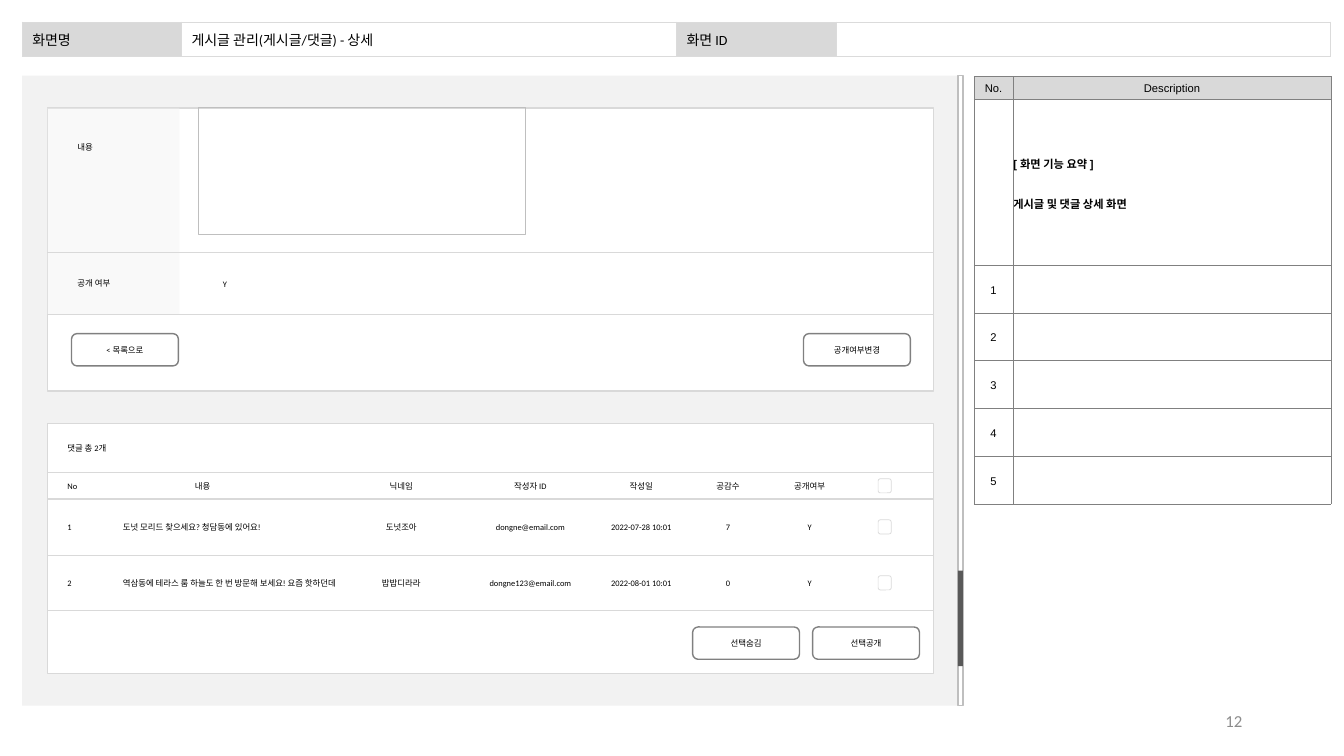
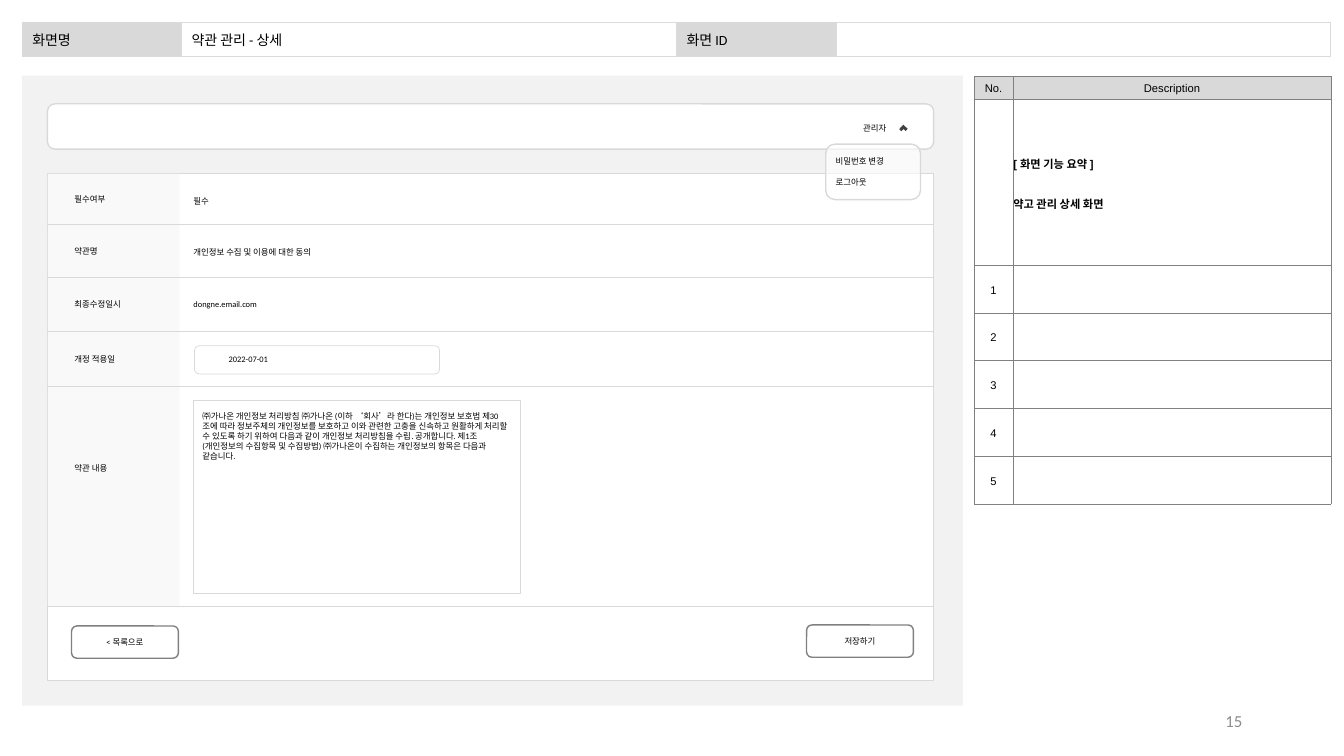
from collections import namedtuple
from dataclasses import dataclass

from lxml import etree
from pptx import Presentation
from pptx.dml.color import RGBColor
from pptx.enum.shapes import MSO_CONNECTOR, MSO_SHAPE
from pptx.enum.text import MSO_ANCHOR, PP_ALIGN
from pptx.oxml.ns import qn
from pptx.util import Inches, Pt

RECT, ROUND, CORNER = MSO_SHAPE.RECTANGLE, MSO_SHAPE.ROUNDED_RECTANGLE, MSO_SHAPE.CORNER
STRAIGHT = MSO_CONNECTOR.STRAIGHT
LEFT, CENTER, RIGHT = PP_ALIGN.LEFT, PP_ALIGN.CENTER, PP_ALIGN.RIGHT
TOP, MIDDLE = MSO_ANCHOR.TOP, MSO_ANCHOR.MIDDLE

Box = namedtuple("Box", "x y w h")


@dataclass(frozen=True)
class Theme:
    font: str = "Calibri"
    table_font: str = "Arial"
    ink: str = "000000"
    white: str = "FFFFFF"
    canvas: str = "F2F2F2"
    head: str = "D9D9D9"
    head_border: str = "DBDBDB"
    rule: str = "D9D9D9"
    frame: str = "BFBFBF"
    strong: str = "808080"
    thumb: str = "595959"
    chevron: str = "404040"
    number: str = "8C8C8C"
    tiny: int = 6
    small: int = 8
    heading: int = 10
    page: int = 12


T = Theme()
HEADER = Box(0.22, 0.22, 12.98, 0.34)
CANVAS = Box(0.22, 0.75, 9.33, 6.25)
NOTES = Box(9.66, 0.76, 3.54, 4.24)
PAGE = Box(9.42, 6.95, 3, 0.4)
PANEL_X, PANEL_W = 0.47, 8.79
BAND_W = 1.31
LABEL_H = 0.2
BUTTON_W, BUTTON_H = 1.06, 0.32


def rgb(value):
    return RGBColor.from_string(value)


def emu(box):
    return [Inches(v) for v in box]


def write(tf, *texts, size=T.tiny, font=T.font, color=T.ink, align=LEFT,
          bold=False, spacing=None, gap=0):
    for i, text in enumerate(texts):
        p = tf.add_paragraph() if i else tf.paragraphs[0]
        p.alignment = align
        p.line_spacing = spacing
        if i:
            p.space_before = Pt(gap)
        r = p.add_run()
        r.text = text
        r.font.size, r.font.name, r.font.bold = Pt(size), font, bold
        r.font.color.rgb = rgb(color)


def text_box(s, box, text, anchor=MIDDLE, **fmt):
    tf = s.shapes.add_textbox(*emu(box)).text_frame
    tf.word_wrap = True
    tf.vertical_anchor = anchor
    write(tf, text, **fmt)


def label(s, text, x, center_y, w, **fmt):
    text_box(s, Box(x, center_y - LABEL_H / 2, w, LABEL_H), text, **fmt)


def shape(s, kind, box, fill=None, line=None, width=1, alpha=None):
    sp = s.shapes.add_shape(kind, *emu(box))
    sp.shadow.inherit = False
    if fill:
        sp.fill.solid()
        sp.fill.fore_color.rgb = rgb(fill)
    else:
        sp.fill.background()
    if alpha:
        clr = sp._element.spPr.find(qn("a:solidFill"))[0]
        etree.SubElement(clr, qn("a:alpha")).set("val", str(alpha * 1000))
    if line:
        sp.line.color.rgb = rgb(line)
        sp.line.width = Pt(width)
    else:
        sp.line.fill.background()
    return sp


def divider(s, x, y, w, width=0.5):
    cx = s.shapes.add_connector(STRAIGHT, *emu((x, y, x + w, y)))
    cx.line.color.rgb = rgb(T.rule)
    cx.line.width = Pt(width)
    etree.SubElement(cx._element.spPr, qn("a:effectLst"))


def button(s, text, x, y):
    sp = shape(s, ROUND, Box(x, y, BUTTON_W, BUTTON_H), T.white, T.strong)
    sp.text_frame.vertical_anchor = MIDDLE
    write(sp.text_frame, text, align=CENTER)


def format_cell(cell, border, width, fill=None):
    cell.margin_top = cell.margin_bottom = 0
    cell.vertical_anchor = MIDDLE
    tcPr = cell._tc.get_or_add_tcPr()
    for side in ("lnL", "lnR", "lnT", "lnB"):
        ln = etree.SubElement(tcPr, qn(f"a:{side}"), w=str(Pt(width)))
        solid = etree.SubElement(ln, qn("a:solidFill"))
        etree.SubElement(solid, qn("a:srgbClr"), val=border)
    if fill:
        cell.fill.solid()
        cell.fill.fore_color.rgb = rgb(fill)
    else:
        cell.fill.background()


def table(s, box, widths, heights):
    tbl = s.shapes.add_table(len(heights), len(widths), *emu(box)).table
    tbl.first_row = tbl.horz_banding = False
    for col, w in zip(tbl.columns, widths):
        col.width = Inches(w)
    for row, h in zip(tbl.rows, heights):
        row.height = Inches(h)
    return tbl


def header(s, box, title):
    tbl = table(s, box, (1.58, 4.91, 1.59, 4.9), (box.h,))
    for i, text in enumerate(("화면명", title, "화면 ID", "")):
        cell = tbl.cell(0, i)
        format_cell(cell, T.head_border, 0.75, None if i % 2 else T.head)
        if text:
            write(cell.text_frame, text, size=T.heading)


def notes_table(s, box, summary, count=5):
    top, intro = 0.22, 1.65
    step = (box.h - top - intro) / count
    tbl = table(s, box, (0.39, box.w - 0.39), [top, intro] + [step] * count)
    rows = [("No.", "Description"), ("", "")]
    rows += [(str(n), "") for n in range(1, count + 1)]
    fmt = dict(size=T.small, font=T.table_font, spacing=1.2)
    for i, row in enumerate(rows):
        for j, text in enumerate(row):
            cell = tbl.cell(i, j)
            cell.margin_left = cell.margin_right = 0
            format_cell(cell, T.strong, 0.25, T.white if i else T.head)
            if text:
                write(cell.text_frame, text, align=CENTER, **fmt)
    write(tbl.cell(1, 1).text_frame, "[ 화면 기능 요약 ]", summary,
          bold=True, gap=14, **fmt)


def base(prs, title, summary, number):
    s = prs.slides.add_slide(prs.slide_layouts[6])
    shape(s, RECT, CANVAS, T.canvas)
    text_box(s, PAGE, number, size=T.page, color=T.number, align=RIGHT)
    header(s, HEADER, title)
    notes_table(s, NOTES, summary)
    return s


def form(s, box, indent, rows):
    shape(s, RECT, box, T.white, T.rule)
    shape(s, RECT, Box(box.x, box.y, BAND_W, rows[-1][1]), T.canvas, alpha=42)
    top = 0
    for name, bottom, center in rows:
        divider(s, box.x, box.y + bottom, box.w)
        label(s, name, box.x + indent, box.y + (center or (top + bottom) / 2), 0.95)
        top = bottom
    button(s, "< 목록으로", box.x + 0.24, box.y + top + 0.19)


def post_form(s, box):
    form(s, box, 0.2, (("내용", 1.43, 0.39), ("공개 여부", 2.05, None)))
    shape(s, RECT, Box(box.x + 1.5, box.y, 3.24, 1.26), line=T.frame, width=0.5)
    label(s, "Y", box.x + 1.48, box.y + 1.75, 0.56, align=CENTER)
    button(s, "공개여부변경", box.x + 7.5, box.y + 2.24)


def comment_list(s, box, comments):
    shape(s, RECT, box, T.white, T.rule)
    label(s, f"댓글 총 {len(comments)}개", box.x + 0.1, box.y + 0.25, 0.84)
    head_top, head_bottom, row_h = 0.49, 0.75, 0.555
    divider(s, box.x, box.y + head_top, box.w, 1)
    divider(s, box.x, box.y + head_bottom, box.w, 1)
    head = ("No", "내용", "닉네임", "작성자 ID", "작성일", "공감수", "공개여부")
    centers = (0.38, 1.54, 3.51, 4.79, 5.89, 6.75, 7.56)
    widths = (0.56, 0.9, 1.14, 1.14, 0.96, 0.96, 0.96)
    mids = [(head_top + head_bottom) / 2]
    for i in range(len(comments)):
        top = head_bottom + i * row_h
        mids.append(top + row_h / 2)
        divider(s, box.x, box.y + top + row_h, box.w)
    for mid, row in zip(mids, (head, *comments)):
        y = box.y + mid
        for col, (text, cx, w) in enumerate(zip(row, centers, widths)):
            if col == 1 and row is not head:
                label(s, text, box.x + 0.65, y, 2.78)
            else:
                label(s, text, box.x + cx - w / 2, y, w, align=CENTER if col else LEFT)
        shape(s, ROUND, Box(box.x + 8.24, y - 0.07, 0.13, 0.14), line=T.rule, width=0.5)
    for i, text in enumerate(("선택숨김", "선택공개")):
        button(s, text, box.x + 6.4 + 1.19 * i, box.y + 2.02)


def scrollbar(s, box):
    shape(s, RECT, box, T.white, T.frame)
    shape(s, RECT, Box(box.x, box.y + 4.91, box.w, 0.95), T.thumb)


def account_bar(s, box):
    shape(s, ROUND, box, T.white, T.rule)
    label(s, "관리자", box.x + 7.8, box.y + 0.24, 0.81, align=CENTER)
    shape(s, CORNER, Box(box.x + 8.46, box.y + 0.22, 0.06, 0.06), T.chevron).rotation = 132.5


def account_menu(s, box):
    shape(s, ROUND, box, T.white, T.rule, alpha=64)
    for i, text in enumerate(("비밀번호 변경", "로그아웃")):
        label(s, text, box.x, box.y + 0.17 + 0.21 * i, box.w)


def terms_form(s, box, terms):
    form(s, box, 0.17, (
        ("필수여부", 0.51, None), ("약관명", 1.03, None), ("최종수정일시", 1.57, None),
        ("개정 적용일", 2.11, None), ("약관 내용", 4.3, 2.92)))
    values = (("필수", 0.28), ("개인정보 수집 및 이용에 대한 동의", 0.78), ("dongne.email.com", 1.3))
    for text, center in values:
        label(s, text, box.x + 1.35, box.y + center, 3.32)
    shape(s, ROUND, Box(box.x + 1.46, box.y + 1.71, 2.43, 0.28), line=T.rule, width=0.5)
    label(s, "2022-07-01", box.x + 1.7, box.y + 1.84, 2.13)
    shape(s, RECT, Box(box.x + 1.45, box.y + 2.25, 3.24, 1.92), line=T.rule, width=0.5)
    text_box(s, Box(box.x + 1.44, box.y + 2.31, 3.24, 0.61), terms, anchor=TOP)
    button(s, "저장하기", box.x + 7.53, box.y + 4.48)


def post_slide(prs):
    s = base(prs, "게시글 관리(게시글/댓글) - 상세", "게시글 및 댓글 상세 화면", "12")
    post_form(s, Box(PANEL_X, 1.07, PANEL_W, 2.81))
    comment_list(s, Box(PANEL_X, 4.2, PANEL_W, 2.48), (
        ("1", "도넛 모리드 찾으세요? 청담동에 있어요!", "도넛조아",
         "dongne@email.com", "2022-07-28 10:01", "7", "Y"),
        ("2", "역삼동에 테라스 룸 하늘도 한 번 방문해 보세요! 요즘 핫하던데", "밥밥디라라",
         "dongne123@email.com", "2022-08-01 10:01", "0", "Y")))
    scrollbar(s, Box(9.5, CANVAS.y, 0.05, CANVAS.h))


def terms_slide(prs):
    s = base(prs, "약관 관리 - 상세", "약고 관리 상세 화면", "15")
    terms_form(s, Box(PANEL_X, 1.72, PANEL_W, 5.03), (
        "㈜가나온 개인정보 처리방침 ㈜가나온 (이하 ‘회사’라 한다)는 개인정보 보호법 "
        "제30조에 따라 정보주체의 개인정보를 보호하고 이와 관련한 고충을 신속하고 "
        "원활하게 처리할 수 있도록 하기 위하여 다음과 같이 개인정보 처리방침을 "
        "수립․공개합니다. 제1조(개인정보의 수집항목 및 수집방법) ㈜가나온이 "
        "수집하는 개인정보의 항목은 다음과 같습니다."))
    account_bar(s, Box(PANEL_X, 1.03, PANEL_W, 0.45))
    account_menu(s, Box(8.19, 1.43, 0.94, 0.55))


prs = Presentation()
prs.slide_width, prs.slide_height = Inches(13.33), Inches(7.5)
post_slide(prs)
terms_slide(prs)
prs.save("out.pptx")
